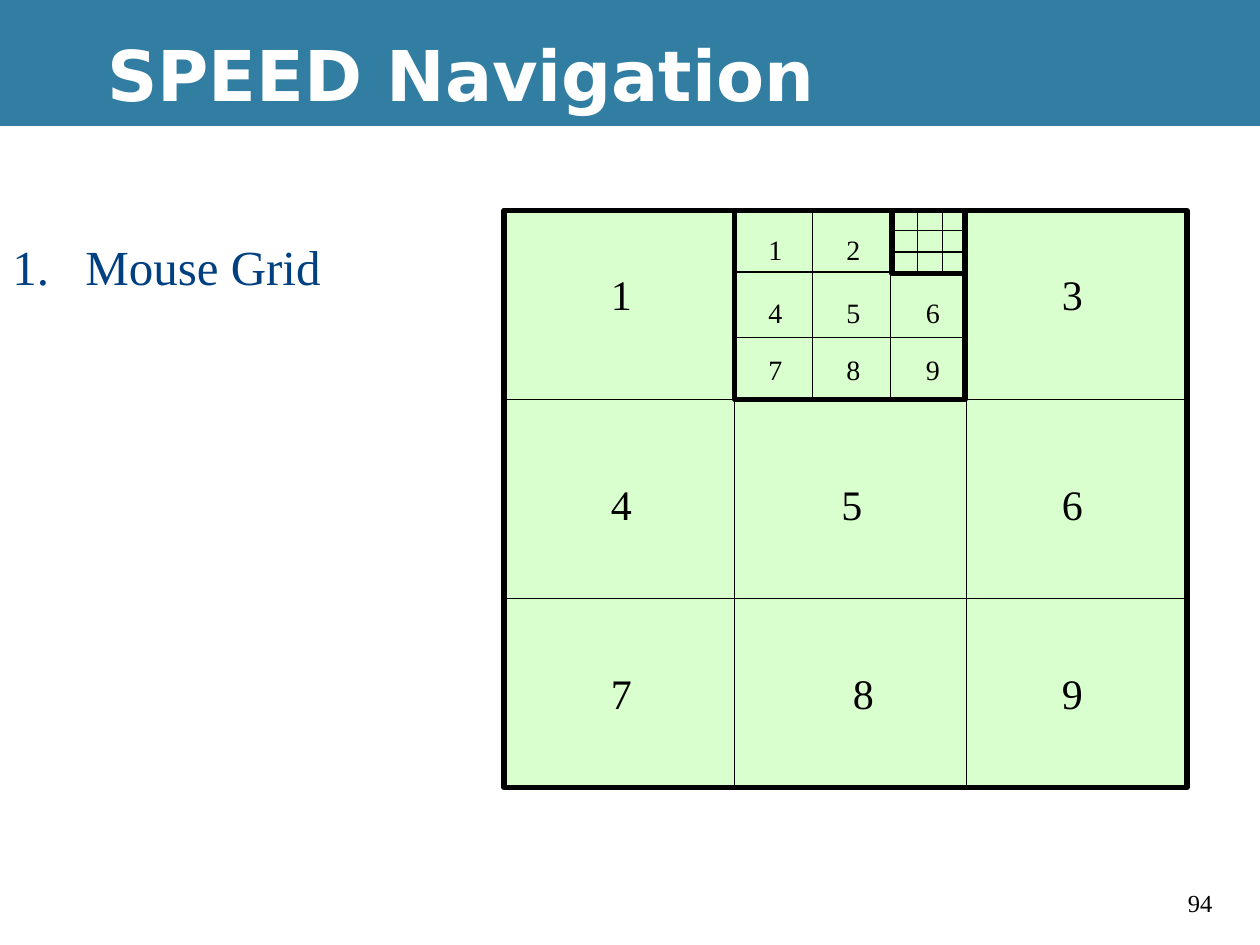
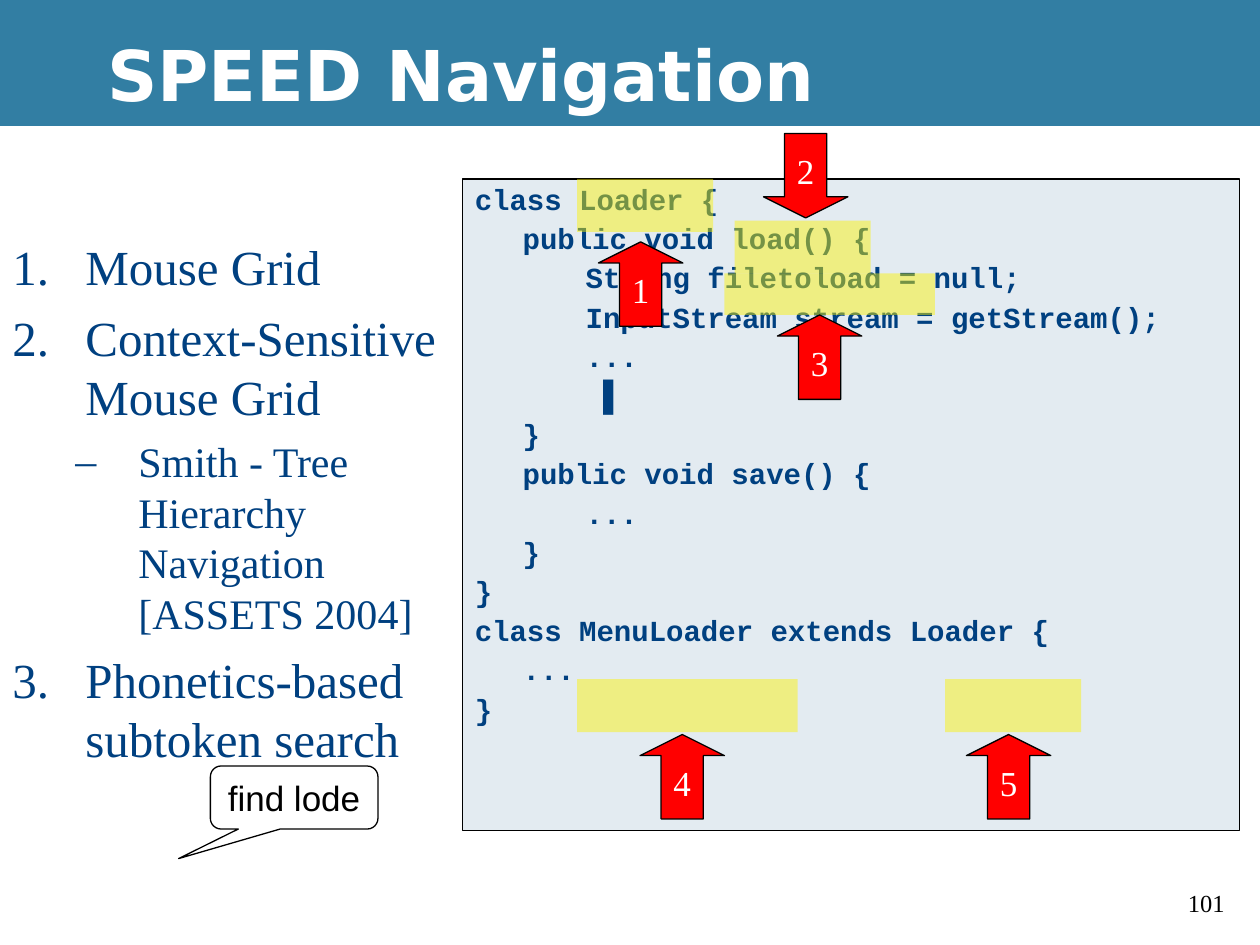
"""Build two slides on speed navigation: a mouse grid and a code search."""
from dataclasses import dataclass, field

from lxml import etree
from pptx import Presentation
from pptx.dml.color import RGBColor
from pptx.enum.shapes import MSO_CONNECTOR, MSO_SHAPE
from pptx.enum.text import MSO_ANCHOR, MSO_AUTO_SIZE, PP_ALIGN
from pptx.oxml.ns import qn
from pptx.util import Inches, Pt

RECT = MSO_SHAPE.RECTANGLE
UP, DOWN = MSO_SHAPE.UP_ARROW, MSO_SHAPE.DOWN_ARROW
CALLOUT = MSO_SHAPE.ROUNDED_RECTANGULAR_CALLOUT
STRAIGHT = MSO_CONNECTOR.STRAIGHT
LEFT, CENTER = PP_ALIGN.LEFT, PP_ALIGN.CENTER
TOP, MIDDLE = MSO_ANCHOR.TOP, MSO_ANCHOR.MIDDLE
NO_FIT = MSO_AUTO_SIZE.NONE
TITLE_ONLY = 5

COLORS = {
    "band": "327EA3", "text": "004080", "black": "000000", "white": "FFFFFF",
    "cell": "DAFFCE", "code": "E3EBF1", "mark": "FDF300", "arrow": "FF0000",
}
SERIF, SANS, MONO, TITLE_FONT = "Times New Roman", "Arial", "Courier New", "DejaVu Sans"


@dataclass
class Grid:
    """A framed 3 by 3 grid with its inner lines and digits."""
    box: tuple[float, float, float, float]
    xs: tuple[float, float]
    ys: tuple[float, float]
    digits: str = ""
    cols: tuple[float, ...] = ()
    rows: tuple[float, ...] = ()
    size: float = 16
    nudge: dict[str, float] = field(default_factory=dict)


@dataclass
class Item:
    """One entry of the outline list."""
    text: str
    sub: bool = False


@dataclass
class Arrow:
    """A numbered block arrow."""
    label: str
    left: float
    top: float
    kind: int = UP


GRIDS = [
    Grid((4, 1.67, 5.42, 4.58), (5.83, 7.67), (3.17, 4.75), "13456789",
         (4.75, 6.58, 8.33), (2.08, 3.75, 5.25), 24, {"8": 0.09}),
    Grid((5.83, 1.67, 1.83, 1.5), (6.45, 7.07), (2.16, 2.68), "12456789",
         (6, 6.62, 7.25), (1.8, 2.3, 2.75)),
    Grid((7.08, 1.67, 0.58, 0.5), (7.28, 7.48), (1.83, 2)),
]
ITEMS = [
    Item("Mouse Grid"),
    Item("Context-Sensitive Mouse Grid"),
    Item("Smith - Tree Hierarchy Navigation [ASSETS 2004]", True),
    Item("Phonetics-based subtoken search"),
]
CURSOR = "▌"
CODE = [
    "class Loader {",
    "\tpublic void load() {",
    "\t\tString filetoload = null;",
    "\t\tInputStream stream = getStream();",
    "\t\t...",
    "\t\t " + CURSOR,
    "\t}",
    "\tpublic void save() {",
    "\t\t...",
    "\t}",
    "}",
    "class MenuLoader extends Loader {",
    "\t...",
    "}",
]
MARKS = [
    (4.58, 1.42, 1.08, 0.42), (5.83, 1.75, 1.08, 0.42), (5.75, 2.17, 1.67, 0.33),
    (4.58, 5.39, 1.75, 0.42), (7.5, 5.39, 1.08, 0.42),
]
ARROWS = [
    Arrow("1", 4.75, 1.92), Arrow("3", 6.17, 2.5), Arrow("4", 5.08, 5.83),
    Arrow("5", 7.67, 5.83), Arrow("2", 6.06, 1.06, DOWN),
]


def rgb(name: str) -> RGBColor:
    """Look up a colour by name."""
    return RGBColor.from_string(COLORS[name])


def add_run(p, text: str, font: str, size: float, color: str, bold: bool = False) -> None:
    """Append a formatted run to a paragraph."""
    r = p.add_run()
    r.text = text
    r.font.name, r.font.size, r.font.bold = font, Pt(size), bold
    r.font.color.rgb = rgb(color)


def set_frame(shape, wrap: bool = True, anchor=TOP):
    """Set wrapping and anchoring, and return the text frame."""
    tf = shape.text_frame
    tf.auto_size, tf.word_wrap, tf.vertical_anchor = NO_FIT, wrap, anchor
    return tf


def add_box(s, kind, box: tuple, fill: str, line_width: float = 0):
    """Add a filled preset shape, outlined in black if a width is given."""
    sp = s.shapes.add_shape(kind, *map(Inches, box))
    sp.shadow.inherit = False
    sp.fill.solid()
    sp.fill.fore_color.rgb = rgb(fill)
    if line_width:
        sp.line.color.rgb = rgb("black")
        sp.line.width = Pt(line_width)
    else:
        sp.line.fill.background()
    return sp


def add_label(s, text: str, box: tuple, size: float) -> None:
    """Add a short black text box."""
    tf = set_frame(s.shapes.add_textbox(*map(Inches, box)), wrap=False)
    add_run(tf.paragraphs[0], text, SERIF, size, "black")


def add_caption(sp, text: str, font: str, color: str) -> None:
    """Centre a caption inside a shape."""
    p = set_frame(sp, False, MIDDLE).paragraphs[0]
    p.alignment = CENTER
    add_run(p, text, font, 20, color)


def add_line(s, x1: float, y1: float, x2: float, y2: float) -> None:
    """Add a thin black line."""
    line = s.shapes.add_connector(STRAIGHT, *map(Inches, (x1, y1, x2, y2)))
    line.line.color.rgb = rgb("black")
    line.line.width = Pt(0.75)
    etree.SubElement(line._element.spPr, qn("a:effectLst"))


def set_indent(p, left: float, hanging: float):
    """Give a paragraph a hanging indent and return its properties."""
    pPr = p._p.get_or_add_pPr()
    pPr.set("marL", str(Inches(left)))
    pPr.set("indent", str(-Inches(hanging)))
    return pPr


def next_paragraph(tf, index: int, before: float, pitch: float):
    """Return the paragraph at an index, with spacing in points."""
    p = tf.add_paragraph() if index else tf.paragraphs[0]
    p.alignment = LEFT
    p.line_spacing = Pt(pitch)
    p.space_before = Pt(before if index else 0)
    return p


def add_slide(prs, number: str):
    """Add a slide with the shared title and its number."""
    s = prs.slides.add_slide(prs.slide_layouts[TITLE_ONLY])
    title = s.shapes.title
    title.left, title.top = Inches(0.75), Inches(0.08)
    title.width, title.height = Inches(9.25), Inches(1)
    p = set_frame(title, anchor=MIDDLE).paragraphs[0]
    p.alignment = LEFT
    add_run(p, "SPEED Navigation", TITLE_FONT, 40, "white", True)
    add_label(s, number, (9.33, 7, 0.5, 0.34), 14)
    return s


def add_band(prs, s) -> None:
    """Place the title band on the shared layout."""
    band = add_box(s, RECT, (0, 0, 10, 1), "band")
    prs.slide_layouts[TITLE_ONLY].shapes._spTree.insert(2, band._element)


def add_items(s, items: list[Item]) -> None:
    """Add the numbered outline."""
    tf = set_frame(s.shapes.add_textbox(*map(Inches, (0, 1.83, 3.83, 4.83))))
    for i, item in enumerate(items):
        size = 24 if item.sub else 28
        p = next_paragraph(tf, i, size / 4, size * 1.2)
        p.level = int(item.sub)
        pPr = set_indent(p, *((1, 0.5) if item.sub else (0.58, 0.58)))
        bullet_color = etree.SubElement(pPr, qn("a:buClr"))
        etree.SubElement(bullet_color, qn("a:srgbClr"), val=COLORS["text"])
        etree.SubElement(pPr, qn("a:buFont"), typeface=SERIF)
        if item.sub:
            etree.SubElement(pPr, qn("a:buChar"), char="–")
        else:
            etree.SubElement(pPr, qn("a:buAutoNum"), type="arabicPeriod")
        add_run(p, item.text, SERIF, size, "text")


def add_grid(s, grid: Grid) -> None:
    """Draw a grid's frame, lines and digits."""
    add_box(s, RECT, grid.box, "cell", 3)
    left, top, width, height = grid.box
    for x in grid.xs:
        add_line(s, x, top, x, top + height)
    for y in grid.ys:
        add_line(s, left, y, left + width, y)
    for digit in grid.digits:
        row, col = divmod(int(digit) - 1, 3)
        x = grid.cols[col] + grid.nudge.get(digit, 0)
        box = (x, grid.rows[row], 0.2 + grid.size / 144, 0.1 + grid.size / 60)
        add_label(s, digit, box, grid.size)


def add_code(s) -> None:
    """Add the code panel."""
    tf = set_frame(add_box(s, RECT, (3.67, 1.42, 6.17, 5.17), "code", 0.75))
    for i, line in enumerate(CODE):
        p = next_paragraph(tf, i, 4.5, 17.9)
        tabs = etree.SubElement(set_indent(p, 0.38, 0.38), qn("a:tabLst"))
        for stop in range(8):
            etree.SubElement(tabs, qn("a:tab"), pos=str(Inches(stop)), algn="l")
        text, cursor, _ = line.partition(CURSOR)
        add_run(p, text, MONO, 16.6, "text", True)
        if cursor:
            add_run(p, cursor, SANS, 16.6, "text", True)


def add_mark(s, box: tuple) -> None:
    """Add a translucent highlight."""
    sp = add_box(s, RECT, box, "mark")
    color = sp._element.spPr.find(qn("a:solidFill"))[0]
    etree.SubElement(color, qn("a:alpha"), val="46000")


def add_arrow(s, arrow: Arrow) -> None:
    """Add a numbered block arrow."""
    sp = add_box(s, arrow.kind, (arrow.left, arrow.top, 0.67, 0.67), "arrow", 0.75)
    sp.adjustments[0], sp.adjustments[1] = 0.5, 0.25
    add_caption(sp, arrow.label, SERIF, "white")


def add_callout(s) -> None:
    """Add the spoken command."""
    sp = add_box(s, CALLOUT, (1.67, 6.08, 1.33, 0.5), "white", 0.75)
    for i, value in enumerate((-0.69, 0.97, 0.17)):
        sp.adjustments[i] = value
    add_caption(sp, "find lode", SANS, "black")


def main() -> None:
    """Build and save the presentation."""
    prs = Presentation()
    prs.slide_width, prs.slide_height = Inches(10), Inches(7.5)

    s = add_slide(prs, "94")
    add_band(prs, s)
    add_items(s, ITEMS[:1])
    for grid in GRIDS:
        add_grid(s, grid)

    s = add_slide(prs, "101")
    add_items(s, ITEMS)
    add_code(s)
    for box in MARKS:
        add_mark(s, box)
    add_callout(s)
    for arrow in ARROWS:
        add_arrow(s, arrow)

    prs.save("out.pptx")


if __name__ == "__main__":
    main()
